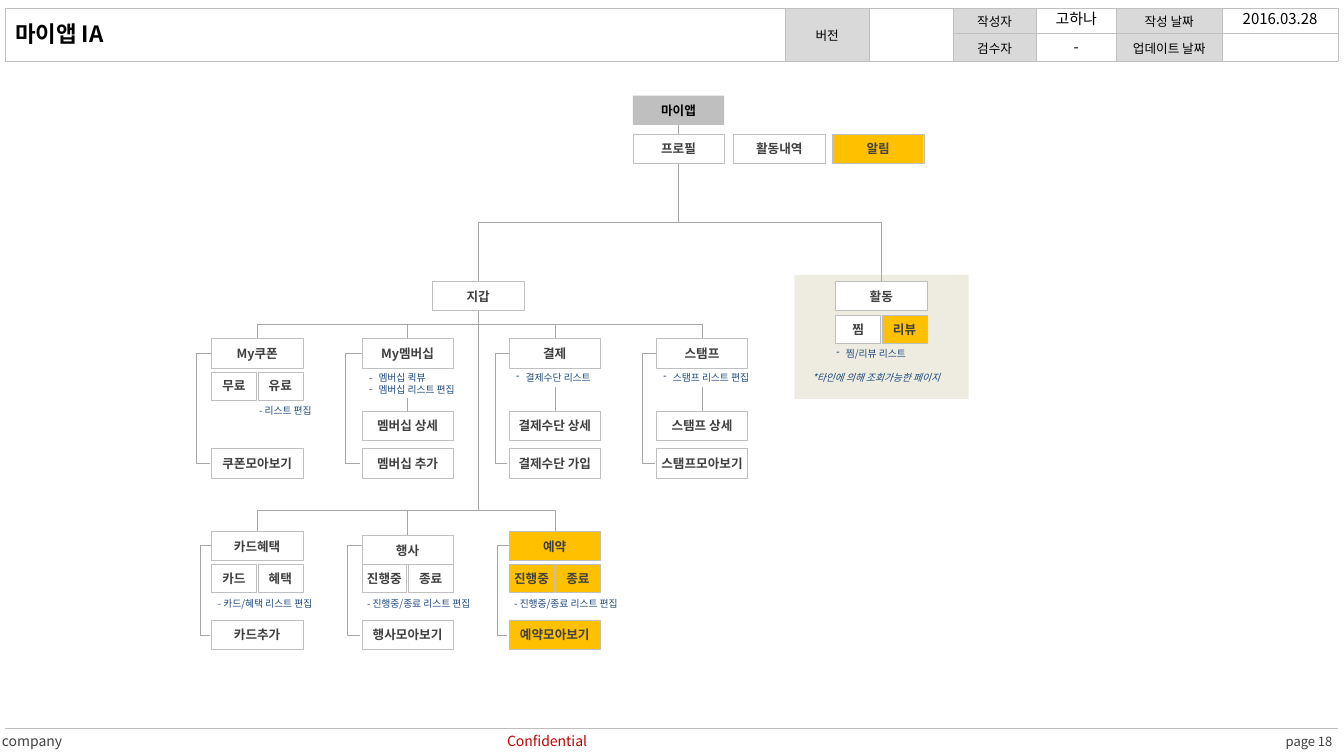
"""Build the information architecture slide of the my-app section."""
from dataclasses import dataclass
from typing import Optional

from lxml.etree import SubElement
from pptx import Presentation
from pptx.dml.color import RGBColor
from pptx.enum.shapes import MSO_CONNECTOR as Link, MSO_SHAPE as Preset
from pptx.enum.text import MSO_ANCHOR as Anchor, MSO_AUTO_SIZE as AutoSize, PP_ALIGN as Align
from pptx.oxml import parse_xml
from pptx.oxml.ns import nsdecls, qn
from pptx.util import Cm, Pt

FONT = "Noto Sans CJK KR"
BLACK = RGBColor(0x00, 0x00, 0x00)
WHITE = RGBColor(0xFF, 0xFF, 0xFF)
DARK = RGBColor(0x40, 0x40, 0x40)
SILVER = RGBColor(0xBF, 0xBF, 0xBF)
WIRE = RGBColor(0xA6, 0xA6, 0xA6)
HEADING = RGBColor(0xD9, 0xD9, 0xD9)
AMBER = RGBColor(0xFF, 0xC0, 0x00)
BEIGE = RGBColor(0xEE, 0xEC, 0xE1)
NAVY = RGBColor(0x1F, 0x49, 0x7D)
RED = RGBColor(0xC0, 0x00, 0x00)

NODE_W, NODE_H = 2.3, 0.74
HALF_W, HALF_H, HALF_STEP = 1.13, 0.71, 1.17
COL_1, COL_2, COL_3, COL_4 = 5.33, 9.12, 12.83, 16.54
PROFILE, WALLET, ACTIVITY = 15.95, 10.9, 21.06
ROOT_Y, PROFILE_Y, BRANCH_Y = 2.41, 3.38, 7.09
UPPER_Y, NOTE_Y, DETAIL_Y, UPPER_END_Y = 8.53, 9.27, 10.36, 11.3
LOWER_Y, LOWER_PAIR_Y, LOWER_NOTE_Y, LOWER_END_Y = 13.39, 14.22, 14.96, 15.62
UPPER_BAR, LOWER_BAR = 8.18, 12.85


@dataclass(frozen=True)
class Node:
    label: str
    left: float
    top: float
    fill: RGBColor = WHITE
    width: float = NODE_W
    height: float = NODE_H
    edge: Optional[RGBColor] = SILVER
    ink: RGBColor = DARK


@dataclass(frozen=True)
class Note:
    text: str
    left: float
    top: float
    width: float
    height: float = 0.48
    size: float = 7
    ink: RGBColor = NAVY
    align: Align = Align.LEFT
    anchor: Anchor = Anchor.TOP
    inset: tuple[float, float] = (0.18, 0.1)
    bullet: bool = False
    italic: bool = False


def pair(first: str, second: str, left: float, top: float,
         fills: tuple[RGBColor, RGBColor] = (WHITE, WHITE)) -> list[Node]:
    return [Node(label, left + i * HALF_STEP, top, fills[i], HALF_W, HALF_H)
            for i, label in enumerate((first, second))]


def middle(left: float) -> float:
    return left + NODE_W / 2


def style(paragraph, size: float, ink: RGBColor, bold=False, italic=False, align=Align.LEFT) -> None:
    paragraph.alignment = align
    for run in paragraph.runs:
        run.font.size = Pt(size)
        run.font.bold, run.font.italic = bold, italic
        run.font.color.rgb = ink
        run.font.name = FONT
        SubElement(run.font._element, qn("a:ea")).set("typeface", FONT)


def set_frame(frame, inset: tuple[float, float], anchor: Anchor) -> None:
    frame.word_wrap, frame.auto_size = True, AutoSize.NONE
    frame.vertical_anchor = anchor
    frame.margin_left = frame.margin_right = Cm(inset[0])
    frame.margin_top = frame.margin_bottom = Cm(inset[1])


def place(shape, left: float, top: float, width: float, height: float) -> None:
    shape.left, shape.top, shape.width, shape.height = map(Cm, (left, top, width, height))


def add_dash(paragraph) -> None:
    properties = paragraph._p.get_or_add_pPr()
    properties.set("marL", str(Cm(0.24)))
    properties.set("indent", str(-Cm(0.24)))
    SubElement(properties, qn("a:buChar")).set("char", "-")


def add_node(slide, node: Node) -> None:
    box = slide.shapes.add_shape(Preset.RECTANGLE, *map(Cm, (node.left, node.top, node.width, node.height)))
    box.shadow.inherit = False
    box.fill.solid()
    box.fill.fore_color.rgb = node.fill
    if node.edge is None:
        box.line.fill.background()
    else:
        box.line.color.rgb, box.line.width = node.edge, Pt(0.25)
    if node.label:
        set_frame(box.text_frame, (0.08, 0.1), Anchor.MIDDLE)
        box.text_frame.text = node.label
        style(box.text_frame.paragraphs[0], 9, node.ink, bold=True, align=Align.CENTER)


def add_note(slide, note: Note) -> None:
    frame = slide.shapes.add_textbox(*map(Cm, (note.left, note.top, note.width, note.height))).text_frame
    set_frame(frame, note.inset, note.anchor)
    frame.text = note.text
    if note.bullet:
        add_dash(frame.paragraphs[0])
    style(frame.paragraphs[0], note.size, note.ink, italic=note.italic, align=note.align)


def add_wire(slide, x1: float, y1: float, x2: float, y2: float, kind=Link.STRAIGHT):
    wire = slide.shapes.add_connector(kind, *map(Cm, (x1, y1, x2, y2)))
    wire.line.color.rgb, wire.line.width = WIRE, Pt(0.25)
    SubElement(wire._element.spPr, qn("a:effectLst"))
    return wire


def add_branch(slide, x1: float, y1: float, x2: float, y2: float) -> None:
    side = 1 if x2 < x1 else -1
    x, y = (x1 + x2) / 2, (y1 + y2) / 2
    run, rise = side * (y2 - y1) / 2, abs(x2 - x1) / 2
    wire = add_wire(slide, x - run, y - rise, x + run, y + rise, Link.ELBOW)
    wire._element.spPr.find(qn("a:xfrm")).set("rot", str((90 if side == 1 else 270) * 60000))


def add_bracket(slide, left: float, elbow: float, top: float, bottom: float) -> None:
    gap = 0.04
    wire = add_wire(slide, left, top, left - gap, bottom, Link.ELBOW)
    guide = SubElement(wire._element.spPr.find(qn("a:prstGeom")).get_or_add_avLst(), qn("a:gd"))
    guide.set("name", "adj1")
    guide.set("fmla", f"val {round((left - elbow) / gap * 100000)}")


def add_header(slide) -> None:
    widths = (19.66, 2.11, 2.11, 2.11, 2.01, 2.67, 2.92)
    heights = (0.63, 0.71, 16.81)
    labels = {(0, 1): "버전", (0, 3): "작성자", (0, 5): "작성 날짜", (1, 3): "검수자", (1, 5): "업데이트 날짜"}
    table = slide.shapes.add_table(3, 7, *map(Cm, (0.13, 0.2, sum(widths), sum(heights)))).table
    table.first_row = table.horz_banding = False
    for column, width in zip(table.columns, widths):
        column.width = Cm(width)
    for r, height in enumerate(heights):
        table.rows[r].height = Cm(height)
        for c in range(len(widths)):
            cell = table.cell(r, c)
            cell.margin_left = cell.margin_right = cell.margin_top = Cm(0.03)
            cell.margin_bottom = 0
            cell.vertical_anchor = Anchor.MIDDLE
            cell.fill.background()
            paragraph = cell.text_frame.paragraphs[0]
            if (r, c) in labels:
                cell.fill.solid()
                cell.fill.fore_color.rgb = HEADING
                paragraph.text = labels[r, c]
                style(paragraph, 9, BLACK, align=Align.CENTER)
            else:
                SubElement(paragraph._p, qn("a:endParaRPr")).set("sz", "900")
            for i, side in enumerate("LRTB"):
                hidden = r == 2 and side in "LR"
                paint = "<a:noFill/>" if hidden else f'<a:solidFill><a:srgbClr val="{SILVER}"/></a:solidFill>'
                cell._tc.get_or_add_tcPr().insert(
                    i, parse_xml(f'<a:ln{side} {nsdecls("a")} w="3175">{paint}</a:ln{side}>'))
    for c in range(3):
        table.cell(0, c).merge(table.cell(1, c))
    table.cell(2, 0).merge(table.cell(2, 6))


NODES = [
    Node("마이앱", PROFILE, ROOT_Y, SILVER, edge=None, ink=BLACK),
    Node("프로필", PROFILE, PROFILE_Y), Node("활동내역", 18.49, PROFILE_Y), Node("알림", 20.98, PROFILE_Y, AMBER),
    Node("지갑", WALLET, BRANCH_Y), Node("활동", ACTIVITY, BRANCH_Y),
    *pair("찜", "리뷰", ACTIVITY, 7.94, (WHITE, AMBER)),
    Node("My쿠폰", COL_1, UPPER_Y), *pair("무료", "유료", COL_1, 9.37), Node("쿠폰모아보기", COL_1, UPPER_END_Y),
    Node("My멤버십", COL_2, UPPER_Y), Node("멤버십 상세", COL_2, DETAIL_Y), Node("멤버십 추가", COL_2, UPPER_END_Y),
    Node("결제", COL_3, UPPER_Y), Node("결제수단 상세", COL_3, DETAIL_Y), Node("결제수단 가입", COL_3, UPPER_END_Y),
    Node("스탬프", COL_4, UPPER_Y), Node("스탬프 상세", COL_4, DETAIL_Y), Node("스탬프모아보기", COL_4, UPPER_END_Y),
    Node("카드혜택", COL_1, LOWER_Y), *pair("카드", "혜택", COL_1, LOWER_PAIR_Y), Node("카드추가", COL_1, LOWER_END_Y),
    Node("행사", COL_2, 13.49), *pair("진행중", "종료", COL_2, LOWER_PAIR_Y), Node("행사모아보기", COL_2, LOWER_END_Y),
    Node("예약", COL_3, LOWER_Y, AMBER), *pair("진행중", "종료", COL_3, LOWER_PAIR_Y, (AMBER, AMBER)),
    Node("예약모아보기", COL_3, LOWER_END_Y, AMBER),
]
CENTRED = {"size": 10.7, "ink": BLACK, "align": Align.CENTER, "inset": (0, 0.13), "height": 0.71}
FOOTER = {"size": 10, "anchor": Anchor.MIDDLE, "inset": (0, 0)}
NOTES = [
    Note("- 리스트 편집", 6.35, 10.11, 2.01),
    Note("결제수단 리스트", COL_3, NOTE_Y, 3, bullet=True),
    Note("스탬프 리스트 편집", COL_4, NOTE_Y, 3.07, bullet=True),
    Note("찜/리뷰 리스트", 20.9, 8.66, 3.07, bullet=True),
    Note("*타인에 의해 조회가능한 페이지", 20.29, NOTE_Y, 4, italic=True),
    Note("- 카드/혜택 리스트 편집", 5.31, LOWER_NOTE_Y, 3.05),
    Note("- 진행중/종료 리스트 편집", 9.07, LOWER_NOTE_Y, 3.05),
    Note("- 진행중/종료 리스트 편집", 12.78, LOWER_NOTE_Y, 3.05),
    Note("고하나", 26.12, 0.1, 2.01, **CENTRED), Note("-", 26.12, 0.81, 2.01, **CENTRED),
    Note("2016.03.28", 30.8, 0.1, 2.92, **CENTRED),
    Note("company", 0.05, 18.42, 4, ink=DARK, **FOOTER),
    Note("Confidential", 12.78, 18.42, 4, ink=RED, **FOOTER),
    Note("page 18", 32.14, 18.45, 1.7, size=9.3, ink=DARK, align=Align.CENTER, anchor=Anchor.MIDDLE, inset=(0, 0)),
]


def add_wires(slide) -> None:
    profile, wallet = middle(PROFILE), middle(WALLET)
    add_wire(slide, profile, PROFILE_Y, profile, ROOT_Y + NODE_H)
    for branch in (WALLET, ACTIVITY):
        add_branch(slide, profile, PROFILE_Y + NODE_H, middle(branch), BRANCH_Y)
    for column in (COL_1, COL_4):
        add_branch(slide, wallet, BRANCH_Y + NODE_H, middle(column), UPPER_Y)
    for column in (COL_2, COL_3):
        add_wire(slide, middle(column), UPPER_Y, middle(column), UPPER_BAR)
    for column, top in ((COL_2, 10.03), (COL_3, 9.75), (COL_4, 9.75)):
        add_wire(slide, middle(column), DETAIL_Y, middle(column), top)
    add_wire(slide, wallet, UPPER_BAR, wallet, LOWER_BAR)
    add_wire(slide, middle(COL_1), LOWER_BAR, middle(COL_3), LOWER_BAR)
    for column in (COL_1, COL_2, COL_3):
        add_wire(slide, middle(column), LOWER_Y + 0.1, middle(column), LOWER_BAR)
    for column, elbow in ((COL_1, 4.95), (COL_2, 8.71), (COL_3, 12.47), (COL_4, 16.18)):
        add_bracket(slide, column, elbow, 8.9, 11.67)
    for column, elbow in ((COL_1, 5.05), (COL_2, 8.74), (COL_3, 12.52)):
        add_bracket(slide, column, elbow, 13.75, 16)


def main() -> None:
    deck = Presentation()
    deck.slide_width, deck.slide_height = Cm(33.87), Cm(19.05)
    slide = deck.slides.add_slide(deck.slide_layouts[1])
    title, membership = slide.placeholders
    add_header(slide)
    place(title, 0.13, 0.41, 15.19, 0.86)
    set_frame(title.text_frame, (0.25, 0.13), Anchor.MIDDLE)
    title.text_frame.text = "마이앱 IA"
    style(title.text_frame.paragraphs[0], 16, BLACK, bold=True)
    place(membership, COL_2, NOTE_Y, 2.9, 0.79)
    set_frame(membership.text_frame, (0.18, 0.1), Anchor.TOP)
    membership.text_frame.text = "멤버십 퀵뷰\n멤버십 리스트 편집"
    for item in membership.text_frame.paragraphs:
        add_dash(item)
        item.space_before = Pt(0)
        style(item, 7, NAVY)
    add_node(slide, Node("", 20.02, 6.93, BEIGE, 4.39, 3.12, None))
    add_wires(slide)
    for node in NODES:
        add_node(slide, node)
    for note in NOTES:
        add_note(slide, note)
    deck.save("out.pptx")


if __name__ == "__main__":
    main()
